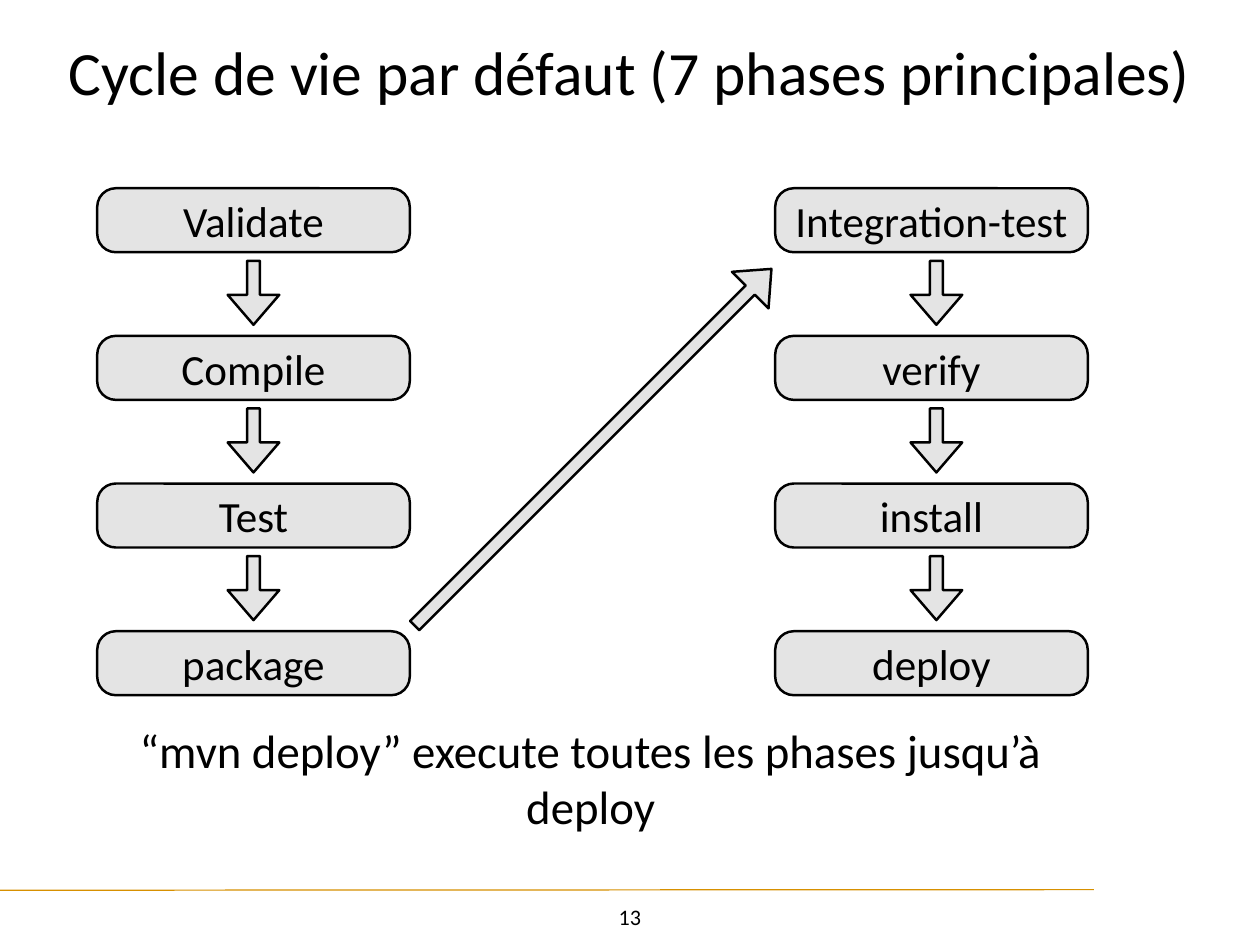
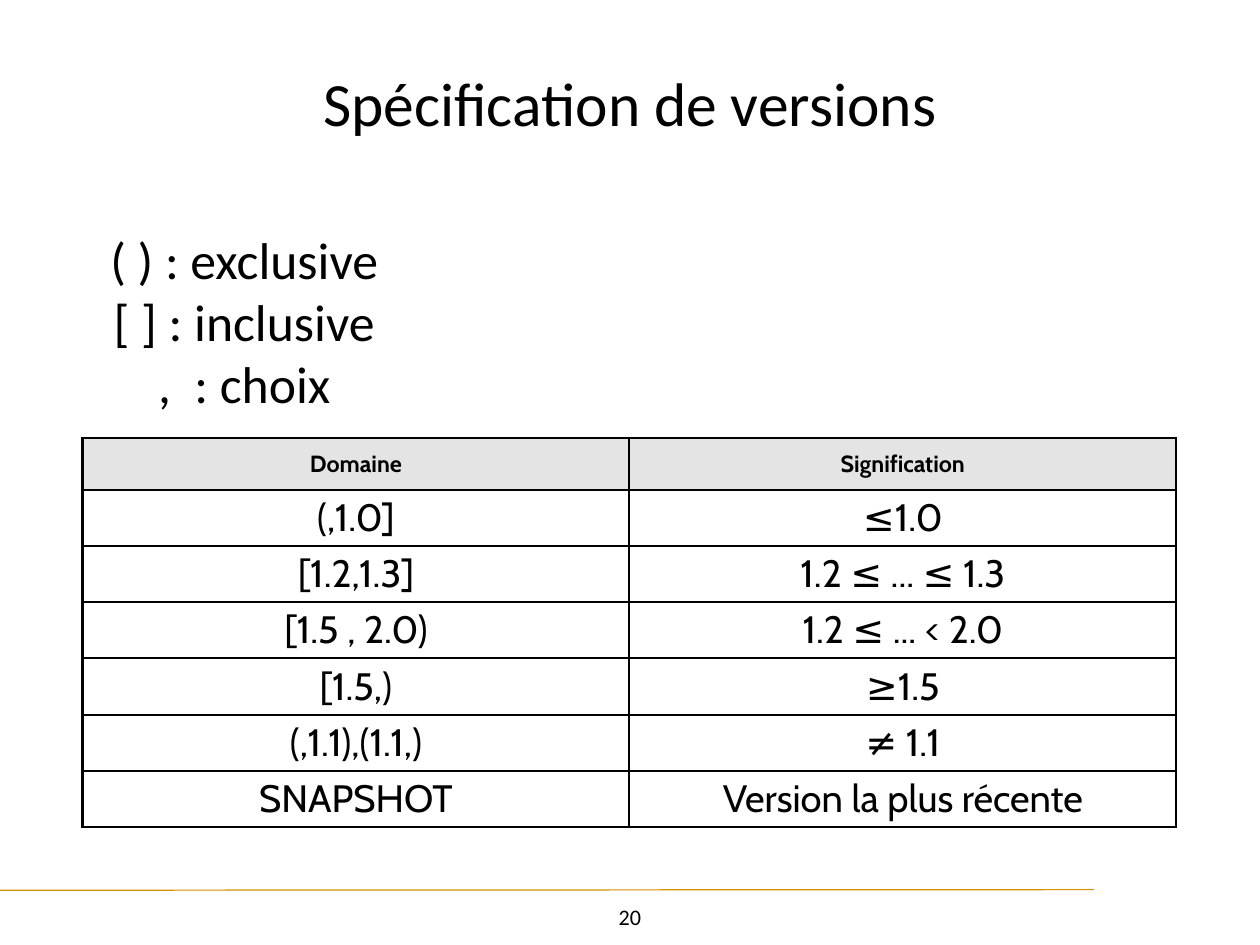
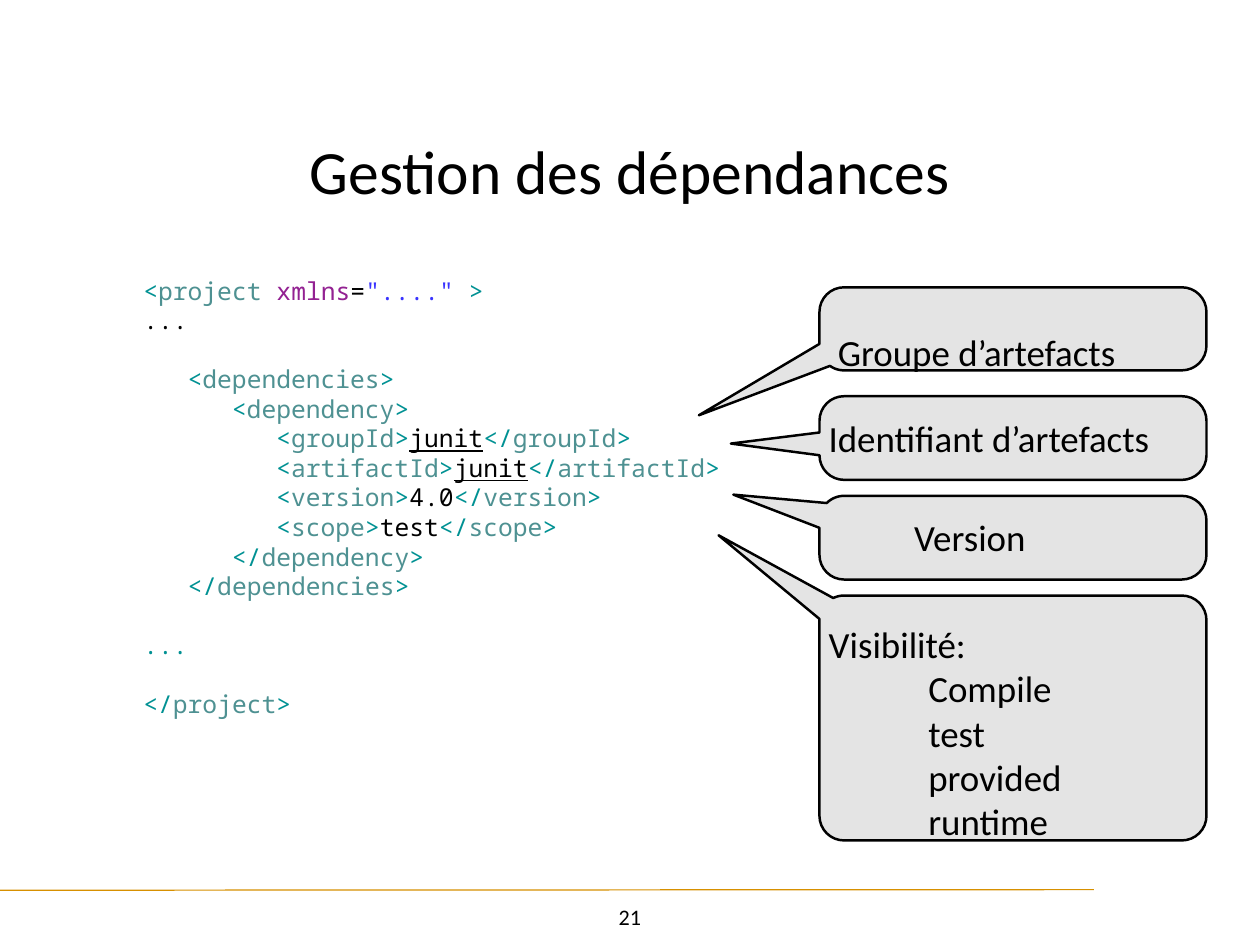
"""Build three slides on build phases, version ranges and dependencies."""
import math

from lxml import etree
from pptx import Presentation
from pptx import util as u
from pptx.dml import color
from pptx.enum import shapes, text
from pptx.oxml import ns

Pt = u.Pt
tint = color.RGBColor.from_string
BLACK, GREY, GOLD = "000000", "E4E4E4", "D79000"
TEAL, NAME, PURPLE, BLUE = "009193", "4E9192", "932192", "3933FF"
SANS, TABLE_FONT, MONO = "Calibri", "Cabin", "Noto Sans Mono"
CENTER, LEFT = text.PP_ALIGN.CENTER, text.PP_ALIGN.LEFT
MIDDLE = text.MSO_ANCHOR.MIDDLE
INSET = 4.5


def write(frame, lines, size, align=CENTER, font=SANS):
    """Fill a text frame with one paragraph per line."""
    frame.text = "\n".join(lines)
    frame.word_wrap = True
    frame.vertical_anchor = MIDDLE
    frame.margin_left = frame.margin_right = Pt(INSET)
    frame.margin_top = frame.margin_bottom = Pt(INSET)
    for para in frame.paragraphs:
        para.alignment = align
        para.font.name, para.font.size = font, Pt(size)
        para.font.color.rgb = tint(BLACK)
    return frame.paragraphs


def paint(shape):
    """Give a shape the grey fill and black outline."""
    shape.shadow.inherit = False
    shape.fill.solid()
    shape.fill.fore_color.rgb = tint(GREY)
    shape.line.color.rgb = tint(BLACK)
    shape.line.width = Pt(2)


deck = Presentation()
deck.slide_width, deck.slide_height = Pt(1024), Pt(768)

pages = []
for title, number, place in [
    ("Cycle de vie par défaut (7 phases principales)", "13", (12, 5, 1000, 106)),
    ("Spécification de versions", "20", (100, 20, 824, 125)),
    ("Gestion des dépendances", "21", (44, 86, 936, 104)),
]:
    page = deck.slides.add_slide(deck.slide_layouts[6])
    rule = page.shapes.add_connector(
        shapes.MSO_CONNECTOR.STRAIGHT, Pt(0), Pt(723.5), Pt(889), Pt(723))
    rule.line.color.rgb = tint(GOLD)
    rule.line.width = Pt(1)
    etree.SubElement(rule.element.spPr, ns.qn("a:effectLst"))
    box = page.shapes.add_textbox(*map(Pt, place))
    write(box.text_frame, [title], 50)
    box = page.shapes.add_textbox(*map(Pt, (472, 729, 80, 32)))
    write(box.text_frame, [number], 18)
    pages.append(page)
phases_page, versions_page, dependencies_page = pages

ROW_TOP, ROW_STEP = 153, 120
arrows = [(277, 342.5, 410, 42, -45)]
for left, arrow_left, phases in [
    (79, 180, ["Validate", "Compile", "Test", "package"]),
    (630, 735, ["Integration-test", "verify", "install", "deploy"]),
]:
    for row, phase in enumerate(phases):
        top = ROW_TOP + row * ROW_STEP
        box = phases_page.shapes.add_shape(
            shapes.MSO_SHAPE.ROUNDED_RECTANGLE, *map(Pt, (left, top, 254, 52)))
        box.adjustments[0] = 0.29
        paint(box)
        write(box.text_frame, [phase], 35)
        if row:
            arrows.append((arrow_left, top - 56, 52, 42, 90))
for *place, angle in arrows:
    arrow = phases_page.shapes.add_shape(
        shapes.MSO_SHAPE.RIGHT_ARROW, *map(Pt, place))
    arrow.adjustments[0], arrow.adjustments[1] = 0.25, 0.58
    arrow.rotation = angle
    paint(arrow)
box = phases_page.shapes.add_textbox(*map(Pt, (54, 606, 852, 52)))
write(box.text_frame, ["“mvn deploy” execute toutes les phases jusqu’à deploy"], 38)

ranges = [
    ("Domaine", "Signification"),
    ("(,1.0]", "≤1.0"),
    ("[1.2,1.3]", "1.2 ≤ ... ≤ 1.3"),
    ("[1.5 , 2.0)", "1.2 ≤ ... < 2.0"),
    ("[1.5,)", "≥1.5"),
    ("(,1.1),(1.1,)", "≠ 1.1"),
    ("SNAPSHOT", "Version la plus récente"),
]
table = versions_page.shapes.add_table(
    len(ranges), 2, *map(Pt, (67, 356, 889, 316))).table
table.first_row = table.horz_banding = False
for row, values in enumerate(ranges):
    table.rows[row].height = Pt(45.7 if row else 42)
    for column, value in enumerate(values):
        cell = table.cell(row, column)
        para = write(cell.text_frame, [value], 31 if row else 19, font=TABLE_FONT)[0]
        para.font.bold = row == 0
        cell.vertical_anchor = MIDDLE
        cell.margin_left = cell.margin_right = Pt(INSET)
        cell.margin_top = cell.margin_bottom = Pt(4)
        properties = cell._tc.get_or_add_tcPr()
        for side in ("lnL", "lnR", "lnT", "lnB"):
            border = etree.SubElement(properties, ns.qn("a:" + side), w=str(Pt(2)))
            fill = etree.SubElement(border, ns.qn("a:solidFill"))
            etree.SubElement(fill, ns.qn("a:srgbClr"), val=BLACK)
        if row:
            cell.fill.background()
        else:
            cell.fill.solid()
            cell.fill.fore_color.rgb = tint(GREY)

box = versions_page.shapes.add_textbox(*map(Pt, (78.5, 183.5, 240, 155)))
paras = write(box.text_frame, ["( ) : exclusive", "[ ] : inclusive", ","], 42)
paras[2].runs[0].font._element.set("spc", "950")
paras[2].add_run().text = " : choix"

TINTS = {"<": TEAL, "</": TEAL, ">": TEAL, "xmlns": PURPLE, '"...." ': BLUE}
LINE = 24
code = [
    (0, 0, BLACK, '<|project |xmlns|=|"...." |>'),
    (0, 0, BLACK, "..."),
    (1, LINE, BLACK, "<|dependencies|>"),
    (2, 0, BLACK, "<|dependency|>"),
    (3, 0, BLACK, "<|groupId|>|junit|</|groupId|>"),
    (3, 0, BLACK, "<|artifactId|>|junit|</|artifactId|>"),
    (3, 0, BLACK, "<|version|>|4.0|</|version|>"),
    (3, 0, BLACK, "<|scope|>|test|</|scope|>"),
    (2, 0, BLACK, "</|dependency|>"),
    (1, 0, BLACK, "</|dependencies|>"),
    (0, LINE, TEAL, "..."),
    (0, LINE, BLACK, "</|project|>"),
]
box = dependencies_page.shapes.add_textbox(*map(Pt, (112, 198.5, 500, 411)))
paras = write(box.text_frame, [""] * len(code), 20, LEFT, MONO)
for para, (level, gap, plain, line) in zip(paras, code):
    para.space_before = Pt(gap)
    para._p.get_or_add_pPr().set("marL", str(Pt(36 * level)))
    previous = ""
    for piece in line.split("|"):
        span = para.add_run()
        span.text = piece
        default = NAME if previous in ("<", "</") else plain
        span.font.color.rgb = tint(TINTS.get(piece, default))
        if piece == "junit":
            span.font.underline = True
        previous = piece

BODY_LEFT, BODY_RIGHT, RADIUS = 666, 980.5, 20
scopes = ["Visibilité:", "Compile", "test", "provided", "runtime"]
callouts = [
    (233.5, 301, (568, 337.5), 125, 180, [], [279.5], ["Groupe d’artefacts"], [39]),
    (322, 390, (594, 360.5), 180, 180, [], [351.5], ["Identifiant d’artefacts"], [33]),
    (403, 471, (596, 402), 180, 225, [429], [], ["Version"], [0]),
    (484, 683, (584, 435), 180, 244, [503], [], scopes, [85] + [166] * 4),
]
for top, bottom, tip, low_end, high_start, below, above, lines, indents in callouts:
    x_near, x_far = BODY_LEFT + RADIUS, BODY_RIGHT - RADIUS
    y_near, y_far = top + RADIUS, bottom - RADIUS
    outline = []
    for x, y, start, end in [
        (x_far, y_near, 270, 360), (x_far, y_far, 0, 90),
        (x_near, y_far, 90, low_end), (x_near, y_near, high_start, 270),
    ]:
        if (x, y) == (x_near, y_near):
            outline += [(BODY_LEFT, side) for side in below] + [tip]
            outline += [(BODY_LEFT, side) for side in above]
        for step in range(9):
            angle = math.radians(start + (end - start) * step / 8)
            outline.append((x + RADIUS * math.cos(angle), y + RADIUS * math.sin(angle)))
    points = [(Pt(x), Pt(y)) for x, y in outline]
    builder = dependencies_page.shapes.build_freeform(*points[0])
    builder.add_line_segments(points[1:], close=True)
    callout = builder.convert_to_shape()
    paint(callout)
    several = len(lines) > 1
    paras = write(callout.text_frame, lines, 30, LEFT if several else CENTER)
    if several:
        callout.text_frame.margin_top = Pt(77)
    for para, indent in zip(paras, indents):
        para._p.get_or_add_pPr().set("marL", str(Pt(indent)))

deck.save("out.pptx")
